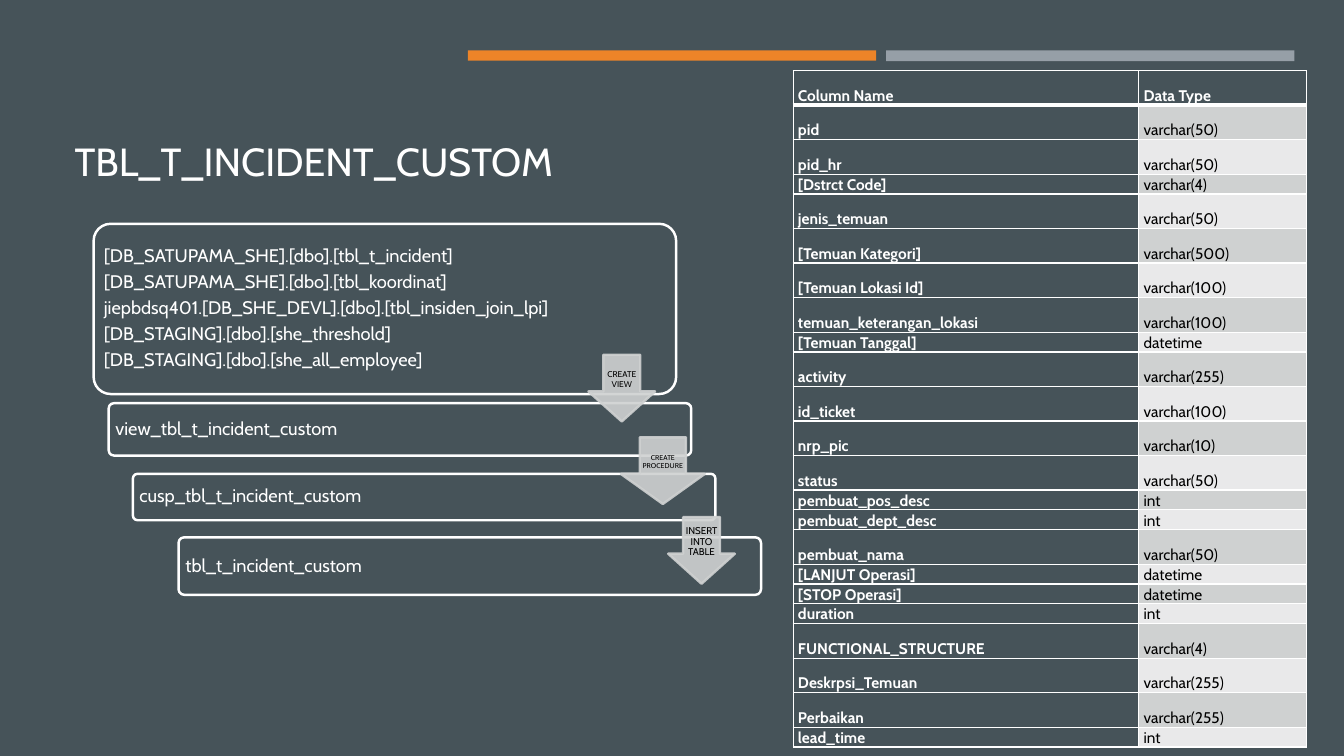
from lxml.etree import SubElement as Sub
from pptx import Presentation
from pptx.dml.color import RGBColor
from pptx.enum.shapes import MSO_SHAPE as Kind
from pptx.enum.text import MSO_ANCHOR as Anchor, PP_ALIGN as Align
from pptx.oxml.ns import qn
from pptx.util import Cm, Pt

FONT = "Cabin"
SLATE = RGBColor(0x46, 0x53, 0x59)
ORANGE = RGBColor(0xED, 0x84, 0x28)
GREY = RGBColor(0x96, 0x9F, 0xA7)
SILVER = RGBColor(0xCF, 0xD1, 0xD1)
PALE = RGBColor(0xE9, 0xE9, 0xEA)
WHITE = RGBColor(0xFF, 0xFF, 0xFF)
BLACK = RGBColor(0, 0, 0)

# Flow: left, top, width, height in cm, then the lines of text
STEPS = [
    ((2.36, 5.64, 14.68, 4.29), [
        "[DB_SATUPAMA_SHE].[dbo].[tbl_t_incident]",
        "[DB_SATUPAMA_SHE].[dbo].[tbl_koordinat]",
        "jiepbdsq401.[DB_SHE_DEVL].[dbo].[tbl_insiden_join_lpi]",
        "[DB_STAGING].[dbo].[she_threshold]",
        "[DB_STAGING].[dbo].[she_all_employee]"]),
    ((2.74, 10.16, 14.68, 1.32), ["view_tbl_t_incident_custom"]),
    ((3.35, 11.94, 14.68, 1.17), ["cusp_tbl_t_incident_custom"]),
    ((4.5, 13.54, 14.68, 1.45), ["tbl_t_incident_custom"]),
]
ARROWS = [
    ((14.83, 8.94, 1.68, 1.68), "CREATE VIEW", 6),
    ((15.65, 11.02, 2.11, 1.68), "CREATE PROCEDURE", 5),
    ((16.84, 13.03, 1.68, 1.68), "INSERT INTO TABLE", 7),
]

# Table rows: name, type, and whether the row is tall
ROWS = [
    ("Column Name", "Data Type", True),
    ("pid", "varchar(50)", True),
    ("pid_hr", "varchar(50)", True),
    ("[Dstrct Code]", "varchar(4)", False),
    ("jenis_temuan", "varchar(50)", True),
    ("[Temuan Kategori]", "varchar(500)", True),
    ("[Temuan Lokasi Id]", "varchar(100)", True),
    ("temuan_keterangan_lokasi", "varchar(100)", True),
    ("[Temuan Tanggal]", "datetime", False),
    ("activity", "varchar(255)", True),
    ("id_ticket", "varchar(100)", True),
    ("nrp_pic", "varchar(10)", True),
    ("status", "varchar(50)", True),
    ("pembuat_pos_desc", "int", False),
    ("pembuat_dept_desc", "int", False),
    ("pembuat_nama", "varchar(50)", True),
    ("[LANJUT Operasi]", "datetime", False),
    ("[STOP Operasi]", "datetime", False),
    ("duration", "int", False),
    ("FUNCTIONAL_STRUCTURE", "varchar(4)", True),
    ("Deskrpsi_Temuan", "varchar(255)", True),
    ("Perbaikan", "varchar(255)", True),
    ("lead_time", "int", False),
]


def put(obj, vals):
    for key, val in vals.items():
        setattr(obj, key, val)


def margins(side, top):
    return {"margin_left": Cm(side), "margin_right": Cm(side),
            "margin_top": Cm(top), "margin_bottom": Cm(top)}


def write(frame, lines, size, color, para=None, bold=False):
    for i, line in enumerate(lines):
        par = frame.add_paragraph() if i else frame.paragraphs[0]
        put(par, para or {})
        run = par.add_run()
        run.text = line
        put(run.font, {"name": FONT, "size": Pt(size), "bold": bold})
        run.font.color.rgb = color


def draw(slide, kind, box, fill, line=None):
    shape = slide.shapes.add_shape(kind, *map(Cm, box))
    shape.shadow.inherit = False
    shape.fill.solid()
    shape.fill.fore_color.rgb = fill
    if line is None:
        shape.line.fill.background()
    else:
        shape.line.color.rgb = line
        shape.line.width = Pt(1.75)
    return shape


def label(slide, box, lines, size, color, inset, align):
    frame = slide.shapes.add_textbox(*map(Cm, box)).text_frame
    put(frame, {"word_wrap": True, "vertical_anchor": Anchor.MIDDLE,
                **margins(inset, inset)})
    write(frame, lines, size, color,
          {"alignment": align, "line_spacing": 0.9,
           "space_after": Pt(round(size * 0.35, 1))})


def header(slide, box):
    # Two accent bars above the title
    x, y, w, h = box
    draw(slide, Kind.RECTANGLE, (x + 10.16, y - 0.69, 10.29, 0.26), ORANGE)
    draw(slide, Kind.RECTANGLE, (x + 20.7, y - 0.69, 10.29, 0.27), GREY)
    # Title
    title = slide.shapes.title
    put(title, dict(zip(("left", "top", "width", "height"), map(Cm, box))))
    put(title.text_frame, {"word_wrap": True, "vertical_anchor": Anchor.BOTTOM,
                           **margins(0.25, 0.13)})
    write(title.text_frame, ["TBL_T_INCIDENT_CUSTOM"], 28, WHITE,
          {"alignment": Align.LEFT, "line_spacing": 0.9})


def step(slide, box, lines):
    x, y, w, h = box
    draw(slide, Kind.ROUNDED_RECTANGLE, box, SLATE, WHITE).adjustments[0] = 0.1
    pad = h * 0.03
    label(slide, (x + pad, y + pad, 11.8 - 2 * pad, h - 2 * pad),
          lines, 13, WHITE, 0.13, Align.LEFT)


def arrow(slide, box, text, size):
    x, y, w, h = box
    shape = draw(slide, Kind.DOWN_ARROW, box, SILVER, SILVER)
    shaft = 0.55
    # Adjustments run head length first, then shaft width in the preset's order
    shape.adjustments[0], shape.adjustments[1] = shaft, 0.45
    for color in shape.element.iter(qn("a:srgbClr")):
        Sub(color, qn("a:alpha"), val="90000")
    label(slide, (x + w * (1 - shaft) / 2, y, w * shaft, h * 0.75),
          [text], size, BLACK, 0.02, Align.CENTER)


def edge(cell, side, width):
    props = cell._tc.get_or_add_tcPr()
    line = Sub(props, qn("a:ln" + side), w=str(Pt(width)))
    Sub(Sub(line, qn("a:solidFill")), qn("a:srgbClr"), val=str(WHITE))


def fields(slide, box):
    table = slide.shapes.add_table(len(ROWS), 2, *map(Cm, box)).table
    for col, width in zip(table.columns, (8.71, 4.22)):
        col.width = Cm(width)
    for r, (name, kind, tall) in enumerate(ROWS):
        table.rows[r].height = Cm(0.87 if tall else 0.46)
        for c, text in enumerate((name, kind)):
            cell = table.cell(r, c)
            put(cell, {"vertical_anchor": Anchor.BOTTOM, **margins(0.12, 0)})
            # A thick rule parts the heading from the rows
            for side in "LRTB":
                edge(cell, side, 3 if (r, side) in ((0, "B"), (1, "T")) else 1)
            dark = r == 0 or c == 0
            cell.fill.solid()
            cell.fill.fore_color.rgb = SLATE if dark else (PALE, SILVER)[r % 2]
            write(cell.text_frame, [text], 11, WHITE if dark else BLACK,
                  {"line_spacing": 1.07}, dark)


def main():
    deck = Presentation()
    put(deck, {"slide_width": Cm(33.87), "slide_height": Cm(19.05)})
    slide = deck.slides.add_slide(deck.slide_layouts[5])
    slide.background.fill.solid()
    slide.background.fill.fore_color.rgb = SLATE
    header(slide, (1.63, 1.96, 30.63, 2.82))
    for item in STEPS:
        step(slide, *item)
    for item in ARROWS:
        arrow(slide, *item)
    fields(slide, (19.99, 1.78, 12.93, 16.94))
    deck.save("out.pptx")


if __name__ == "__main__":
    main()
